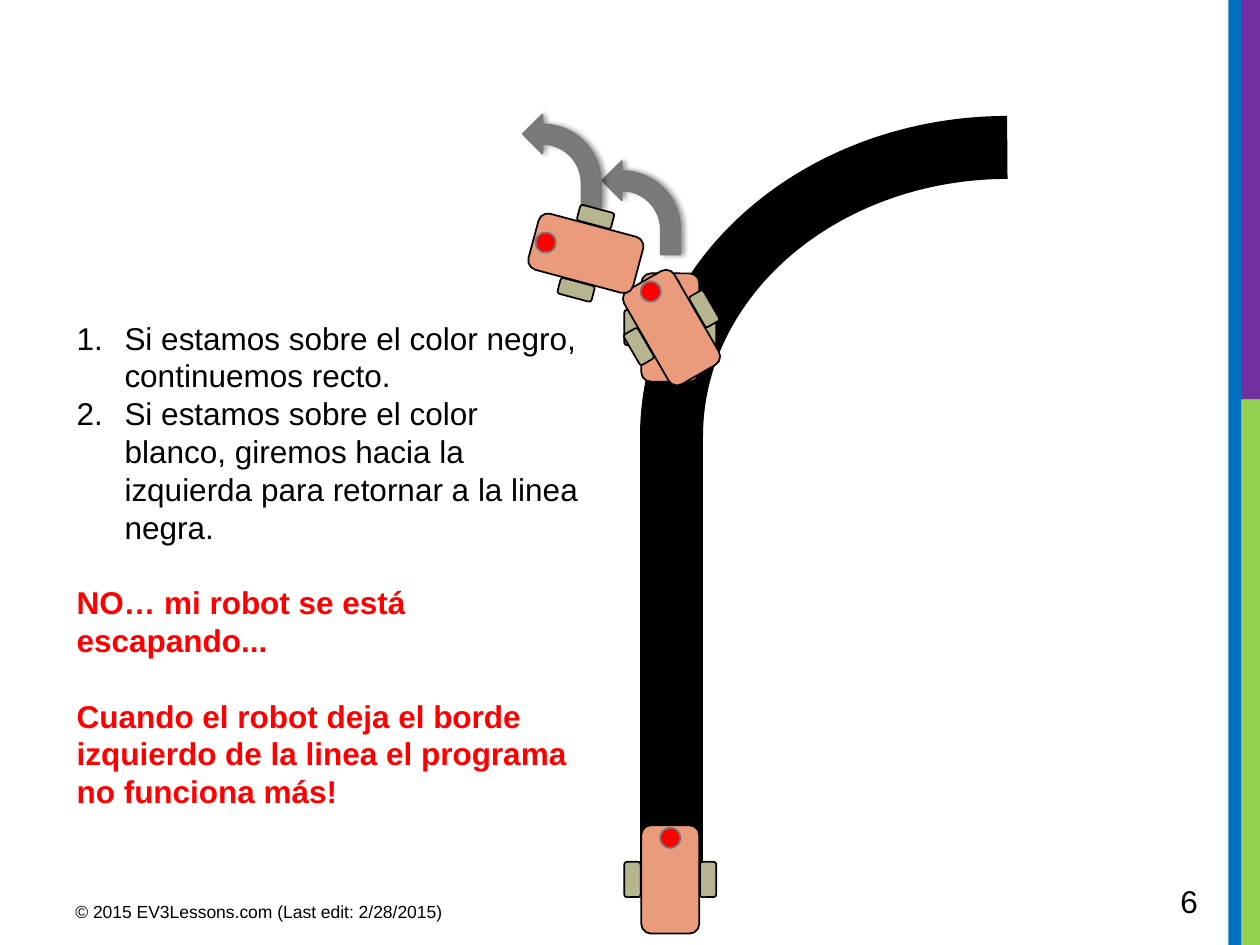
from dataclasses import dataclass
from math import cos, radians, sin

from lxml.etree import SubElement
from pptx import Presentation
from pptx.dml.color import RGBColor
from pptx.enum.shapes import MSO_CONNECTOR as Link, MSO_SHAPE as Kind
from pptx.enum.text import MSO_AUTO_SIZE as Fit
from pptx.oxml.ns import qn
from pptx.util import Emu, Inches, Pt

BLACK = RGBColor(0x00, 0x00, 0x00)
RED = RGBColor(0xFF, 0x00, 0x00)
SALMON = RGBColor(0xEA, 0x9B, 0x7C)
KHAKI = RGBColor(0xB6, 0xB5, 0x90)
GRAY = RGBColor(0x77, 0x77, 0x77)
SLATE = RGBColor(0x7A, 0x7A, 0x7A)
GREEN = RGBColor(0x92, 0xD0, 0x50)
PURPLE = RGBColor(0x70, 0x30, 0xA0)
BLUE = RGBColor(0x00, 0x70, 0xC0)

# The slide is a grid of square cells; all lengths below count cells.
COLS, ROWS = 100, 75
CELL = Inches(0.1)
PITCH = Pt(21.6)


@dataclass
class Box:
    x: float
    y: float
    w: float
    h: float

    def emu(self) -> tuple:
        return tuple(Emu(round(n * CELL)) for n in (self.x, self.y, self.w, self.h))


@dataclass
class Part:
    """A robot part, placed by its centre's offset from the robot's centre."""
    kind: Kind
    dx: float
    dy: float
    w: float
    h: float
    fill: RGBColor
    edge: RGBColor


@dataclass
class Robot:
    x: float
    y: float
    turn: float = 0


@dataclass
class Para:
    text: str
    font: dict
    step: bool = False
    gap: bool = False


PARTS = [
    Part(Kind.ROUNDED_RECTANGLE, 0, 0, 4.6, 8.6, SALMON, BLACK),
    Part(Kind.ROUNDED_RECTANGLE, 3, 0, 1.3, 2.8, KHAKI, BLACK),
    Part(Kind.ROUNDED_RECTANGLE, -3, 0, 1.3, 2.8, KHAKI, BLACK),
    Part(Kind.OVAL, 0, -3.3, 1.6, 1.6, RED, GRAY),
]
BANDS = [
    (Box(98.4, 31.7, 1.6, ROWS - 31.7), GREEN),
    (Box(98, 0, 2, 31.7), PURPLE),
    (Box(97.5, 0, 1, ROWS), BLUE),
]
BODY = dict(name="Arial", size=Pt(18))
ALERT = dict(BODY, bold=True)
SMALL = dict(BODY, size=Pt(10))


def draw(shapes, kind: Kind, box: Box, fill=None, edge=None, width: float = 1):
    shape = shapes.add_shape(kind, *box.emu())
    shape.shadow.inherit = False
    if fill is None:
        shape.fill.background()
    else:
        shape.fill.solid()
        shape.fill.fore_color.rgb = fill
    if edge is None:
        shape.line.fill.background()
    else:
        shape.line.color.rgb = edge
        shape.line.width = Pt(width)
    return shape


def flip(shape) -> None:
    shape.element.spPr.find(qn("a:xfrm")).set("flipH", "1")


def track(shapes) -> None:
    x, low, high = (Emu(round(n * CELL)) for n in (53.3, 69.6, 34.4))
    line = shapes.add_connector(Link.STRAIGHT, x, low, x, high)
    line.line.color.rgb = BLACK
    line.line.width = Pt(36)
    SubElement(line.element.spPr, qn("a:effectLst"))
    flip(draw(shapes, Kind.ARC, Box(53.3, 11.7, 53.3, 45.8), edge=BLACK, width=36))


def robot(shapes, bot: Robot) -> None:
    group = shapes.add_group_shape()
    c, s = cos(radians(bot.turn)), sin(radians(bot.turn))
    for part in PARTS:
        x = bot.x + part.dx * c - part.dy * s
        y = bot.y + part.dx * s + part.dy * c
        box = Box(x - part.w / 2, y - part.h / 2, part.w, part.h)
        shape = draw(group.shapes, part.kind, box, part.fill, part.edge)
        shape.rotation = bot.turn


def arrow(shapes, x: float, y: float) -> None:
    shape = draw(shapes, Kind.BENT_ARROW, Box(x, y, 6.2, 7.4), SLATE, GRAY)
    shape.adjustments[3] = 0.75
    flip(shape)
    glow = SubElement(shape.element.spPr.find(qn("a:effectLst")), qn("a:outerShdw"),
                      blurRad=str(Pt(3.1)), dist=str(Pt(1.8)), dir="0")
    tint = SubElement(glow, qn("a:srgbClr"), val=str(BLACK))
    SubElement(tint, qn("a:alpha"), val="40000")


def number(para) -> None:
    props = para._p.get_or_add_pPr()
    props.set("marL", str(Inches(0.38)))
    props.set("indent", str(-Inches(0.38)))
    SubElement(props, qn("a:buFont"), typeface="+mj-lt")
    SubElement(props, qn("a:buAutoNum"), type="arabicPeriod")


def write(shapes, box: Box, paras: list[Para], pitch=None, fit=Fit.NONE) -> None:
    frame = shapes.add_textbox(*box.emu()).text_frame
    frame.word_wrap = True
    frame.auto_size = fit
    for i, item in enumerate(paras):
        para = frame.add_paragraph() if i else frame.paragraphs[0]
        if item.step:
            number(para)
        if pitch:
            para.line_spacing = pitch
        if item.gap:
            para.space_before = PITCH
        run = para.add_run()
        run.text = item.text
        for key, value in item.font.items():
            setattr(run.font, key, value)
        run.font.color.rgb = RED if item.font is ALERT else BLACK


def main() -> None:
    deck = Presentation()
    deck.slide_width, deck.slide_height = COLS * CELL, ROWS * CELL
    shapes = deck.slides.add_slide(deck.slide_layouts[6]).shapes

    for box, fill in BANDS:
        draw(shapes, Kind.RECTANGLE, box, fill)
    track(shapes)
    robot(shapes, Robot(53.2, 69.8))
    robot(shapes, Robot(53.2, 26))
    arrow(shapes, 47.8, 12.8)
    robot(shapes, Robot(53.3, 26, -30))
    arrow(shapes, 41.5, 9.1)
    robot(shapes, Robot(46.5, 20.1, -75))

    write(shapes, Box(5.1, 24.8, 42.2, 40.4), [
        Para("Si estamos sobre el color negro, continuemos recto.", BODY, step=True),
        Para("Si estamos sobre el color blanco, giremos hacia la izquierda "
             "para retornar a la linea negra.", BODY, step=True),
        Para("NO… mi robot se está escapando...", ALERT, gap=True),
        Para("Cuando el robot deja el borde izquierdo de la linea "
             "el programa no funciona más!", ALERT, gap=True),
    ], PITCH, Fit.SHAPE_TO_FIT_TEXT)
    write(shapes, Box(5, 71, 37.5, 3.1),
          [Para("© 2015 EV3Lessons.com (Last edit: 2/28/2015)", SMALL)])
    write(shapes, Box(92.7, 69.5, 7.3, 4), [Para("6", BODY)])
    deck.save("out.pptx")


if __name__ == "__main__":
    main()
